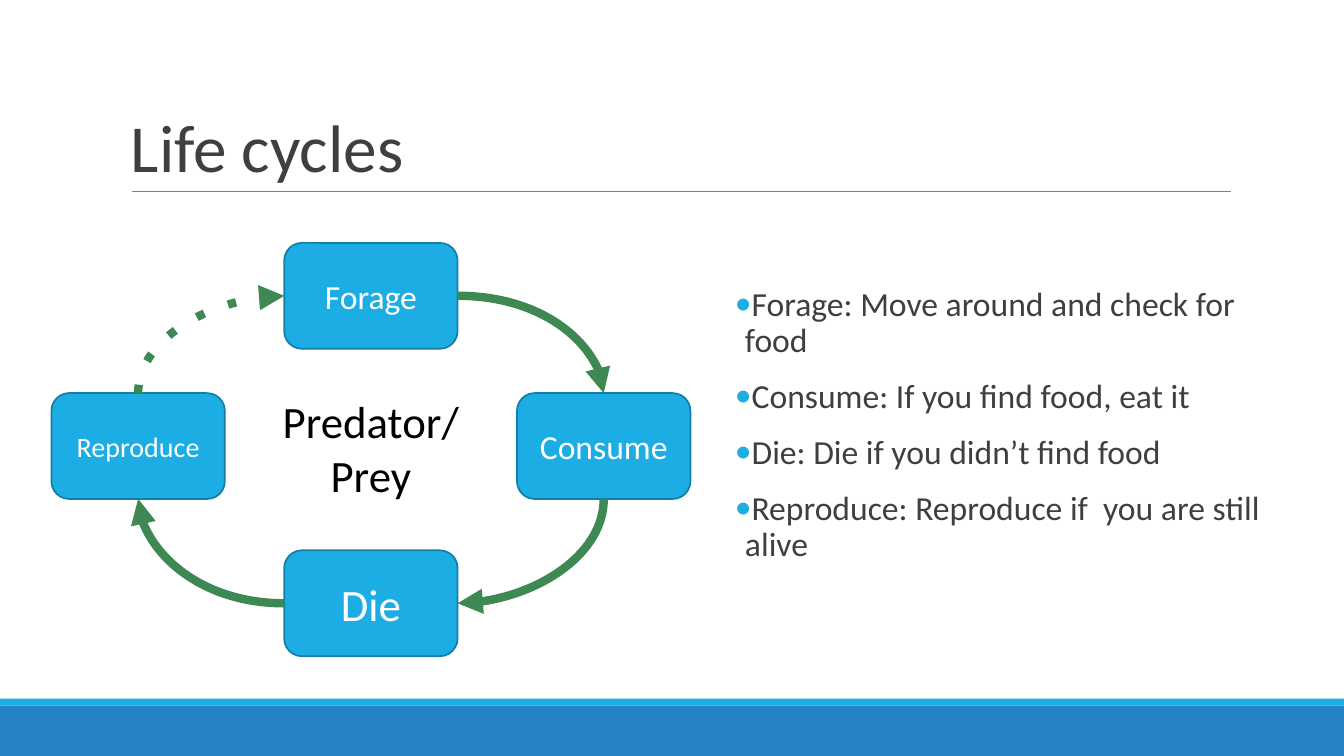
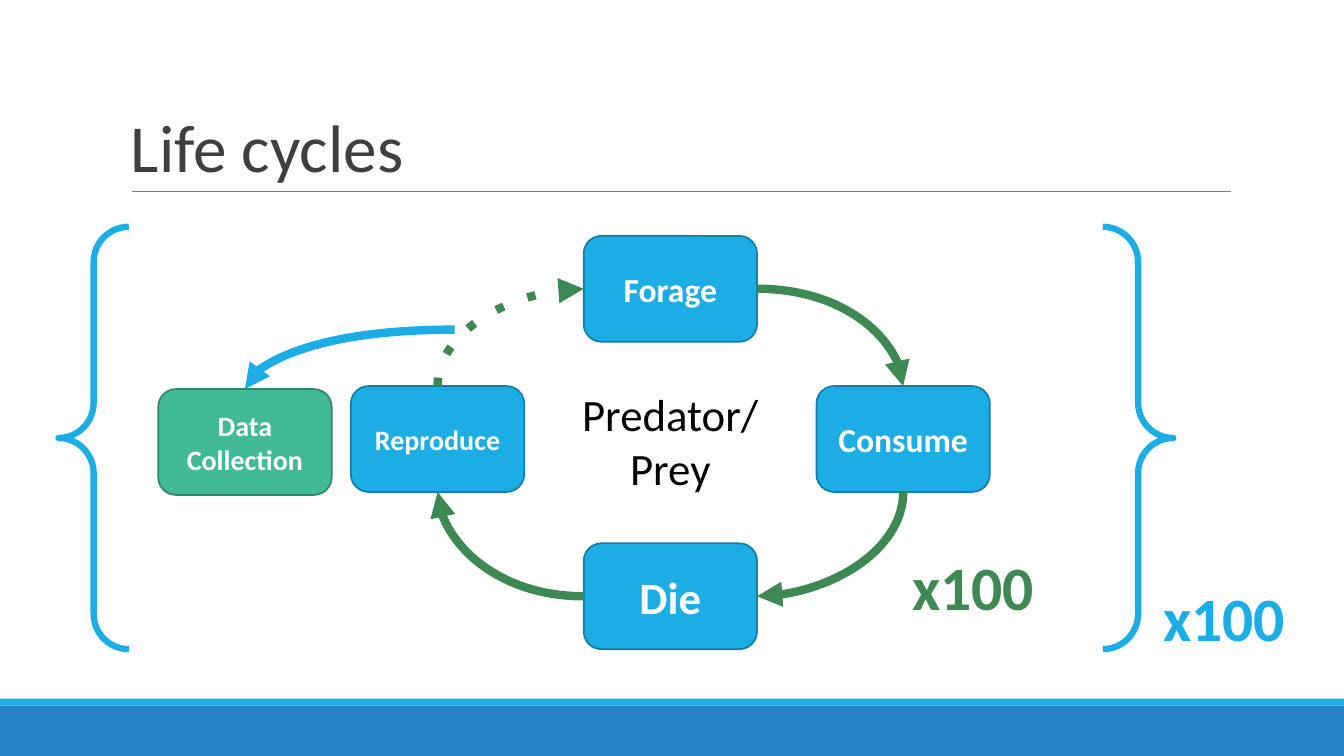
from dataclasses import dataclass

from lxml import etree
from pptx import Presentation
from pptx import util as u
from pptx.dml.color import RGBColor
from pptx.enum import shapes, text
from pptx.oxml.ns import qn


@dataclass(frozen=True)
class Theme:
    font: str = "Calibri"
    ink: str = "3F3F3F"
    black: str = "000000"
    white: str = "FFFFFF"
    grey: str = "7F7F7F"
    band: str = "2683C6"
    sky: str = "1CADE4"
    sky_edge: str = "147EA6"
    leaf: str = "3E8853"
    teal: str = "42BA97"
    teal_edge: str = "30876E"
    title: int = 48
    count: int = 44
    large: int = 32
    body: int = 24
    small: int = 20


T = Theme()
KIND = shapes.MSO_SHAPE
MIDDLE = text.MSO_ANCHOR.MIDDLE
CENTER = text.PP_ALIGN.CENTER

prs = Presentation()
prs.slide_width = u.Inches(13.33)
prs.slide_height = u.Inches(7.5)
COL = prs.slide_width / 100
ROW = prs.slide_height / 100


def block(slide, kind, x, y, w, h, fill=None, edge=None, weight=1.25):
    area = [int(x * COL), int(y * ROW), int(w * COL), int(h * ROW)]
    if kind is None:
        return slide.shapes.add_textbox(*area)
    shape = slide.shapes.add_shape(kind, *area)
    shape.shadow.inherit = False
    if fill:
        shape.fill.solid()
        shape.fill.fore_color.rgb = RGBColor.from_string(fill)
    else:
        shape.fill.background()
    if edge:
        shape.line.color.rgb = RGBColor.from_string(edge)
        shape.line.width = u.Pt(weight)
    else:
        shape.line.fill.background()
    return shape


def write(shape, words, size, color, bold=False, align=None,
          anchor=text.MSO_ANCHOR.TOP, spacing=None, gap=0, bullet=None):
    frame = shape.text_frame
    frame.word_wrap = True
    frame.vertical_anchor = anchor
    if bullet:
        frame.margin_left = frame.margin_right = 0
    for i, line in enumerate(words.split("\n")):
        para = frame.add_paragraph() if i else frame.paragraphs[0]
        if bullet:
            props = para._p.get_or_add_pPr()
            props.set("marL", str(u.Inches(0.1)))
            props.set("indent", str(-u.Inches(0.1)))
            tint = etree.SubElement(props, qn("a:buClr"))
            etree.SubElement(tint, qn("a:srgbClr"), val=bullet)
            etree.SubElement(props, qn("a:buFont"), typeface=T.font)
            etree.SubElement(props, qn("a:buChar"), char="•")
        para.alignment = align
        if spacing:
            para.line_spacing = spacing
        if i and gap:
            para.space_before = u.Pt(gap)
        run = para.add_run()
        run.text = line
        run.font.name = T.font
        run.font.size = u.Pt(size)
        run.font.bold = bold
        run.font.color.rgb = RGBColor.from_string(color)


NODE_W, NODE_H = 12.9, 14
REACH = 17.32
STAGES = [
    ("Forage", T.body, 0, 0),
    ("Consume", T.body, REACH, 19.87),
    ("Die", T.large, 0, 40.67),
    ("Reproduce", T.small, -REACH, 19.87),
]
SIDES = [(3, 0), (0 + 2, 3), (1, 2), (0, 1)]
CURVE = shapes.MSO_CONNECTOR.CURVE
arrows = []
pages = []

for ring_x, ring_y, bold in [(21.15, 32.13, False), (43.43, 31.2, True)]:
    slide = prs.slides.add_slide(prs.slide_layouts[6])
    pages.append(slide)
    block(slide, KIND.RECTANGLE, 0, 93.33, 100, 6.67, T.band)
    block(slide, KIND.RECTANGLE, 0, 92.4, 100, 0.93, T.sky)
    rule = slide.shapes.add_connector(
        shapes.MSO_CONNECTOR.STRAIGHT,
        int(9.83 * COL), int(25.33 * ROW), int(91.58 * COL), int(25.33 * ROW))
    rule.line.color.rgb = RGBColor.from_string(T.grey)
    rule.line.width = u.Pt(0.75)
    etree.SubElement(rule._element.spPr, qn("a:effectLst"))
    write(block(slide, None, 9, 4.13, 82.5, 21.2), "Life cycles", T.title, T.ink,
          anchor=text.MSO_ANCHOR.BOTTOM, spacing=0.85)

    stages = []
    for name, size, dx, dy in STAGES:
        stage = block(slide, KIND.ROUNDED_RECTANGLE, ring_x + dx, ring_y + dy,
                      NODE_W, NODE_H, T.sky, T.sky_edge)
        write(stage, name, size, T.white, bold, CENTER, MIDDLE)
        stages.append(stage)
    write(block(slide, None, ring_x - 2.33, ring_y + 19.33, 17.55, 15.73),
          "Predator/\nPrey", T.large, T.black, align=CENTER)

    for i, (leave, enter) in enumerate(SIDES):
        step = slide.shapes.add_connector(CURVE, 0, 0, 0, 0)
        step.begin_connect(stages[i], leave)
        step.end_connect(stages[(i + 1) % 4], enter)
        x, y, w, h = step.left, step.top, step.width, step.height
        xfrm = step._element.spPr.find(qn("a:xfrm"))
        for flip in ("flipH", "flipV"):
            xfrm.attrib.pop(flip, None)
        if i % 2:
            step.left, step.top = x + (w - h) // 2, y + (h - w) // 2
            step.width, step.height = h, w
        if i:
            xfrm.set("rot", str(i * 90 * 60000))
        arrows.append((step, T.leaf, i == 3))

overview, repeated = pages
write(block(overview, None, 54.68, 37.33, 39.9, 43.33),
      "Forage: Move around and check for food\n"
      "Consume: If you find food, eat it\n"
      "Die: Die if you didn’t find food\n"
      "Reproduce: Reproduce if  you are still alive",
      T.body, T.ink, spacing=0.9, gap=14, bullet=T.sky)

collection = block(repeated, KIND.ROUNDED_RECTANGLE, 11.78, 51.47,
                   NODE_W, NODE_H, T.teal, T.teal_edge)
write(collection, "Data Collection", T.small, T.white, True, CENTER, MIDDLE)
sampling = repeated.shapes.add_connector(
    CURVE, int(33.83 * COL), int(43.6 * ROW),
    int((11.78 + NODE_W / 2) * COL), int(51.47 * ROW))
sampling.end_connect(collection, 0)
arrows.append((sampling, T.sky, False))
block(repeated, KIND.DOUBLE_BRACE, 4.35, 30, 82.95, 55.87, edge=T.sky, weight=4.5)
for x, y, color in [(67.13, 72, T.leaf), (85.8, 76, T.sky)]:
    write(block(repeated, None, x, y, 11.63, 11.2), "x100", T.count, color, True)

for arrow, color, dotted in arrows:
    arrow.line.color.rgb = RGBColor.from_string(color)
    arrow.line.width = u.Pt(6)
    props = arrow._element.spPr
    props.find(qn("a:prstGeom")).set("prst", "curvedConnector2")
    stroke = props.find(qn("a:ln"))
    if dotted:
        etree.SubElement(stroke, qn("a:prstDash"), val="dot")
    etree.SubElement(stroke, qn("a:tailEnd"), type="triangle")
    etree.SubElement(props, qn("a:effectLst"))

prs.save("out.pptx")
